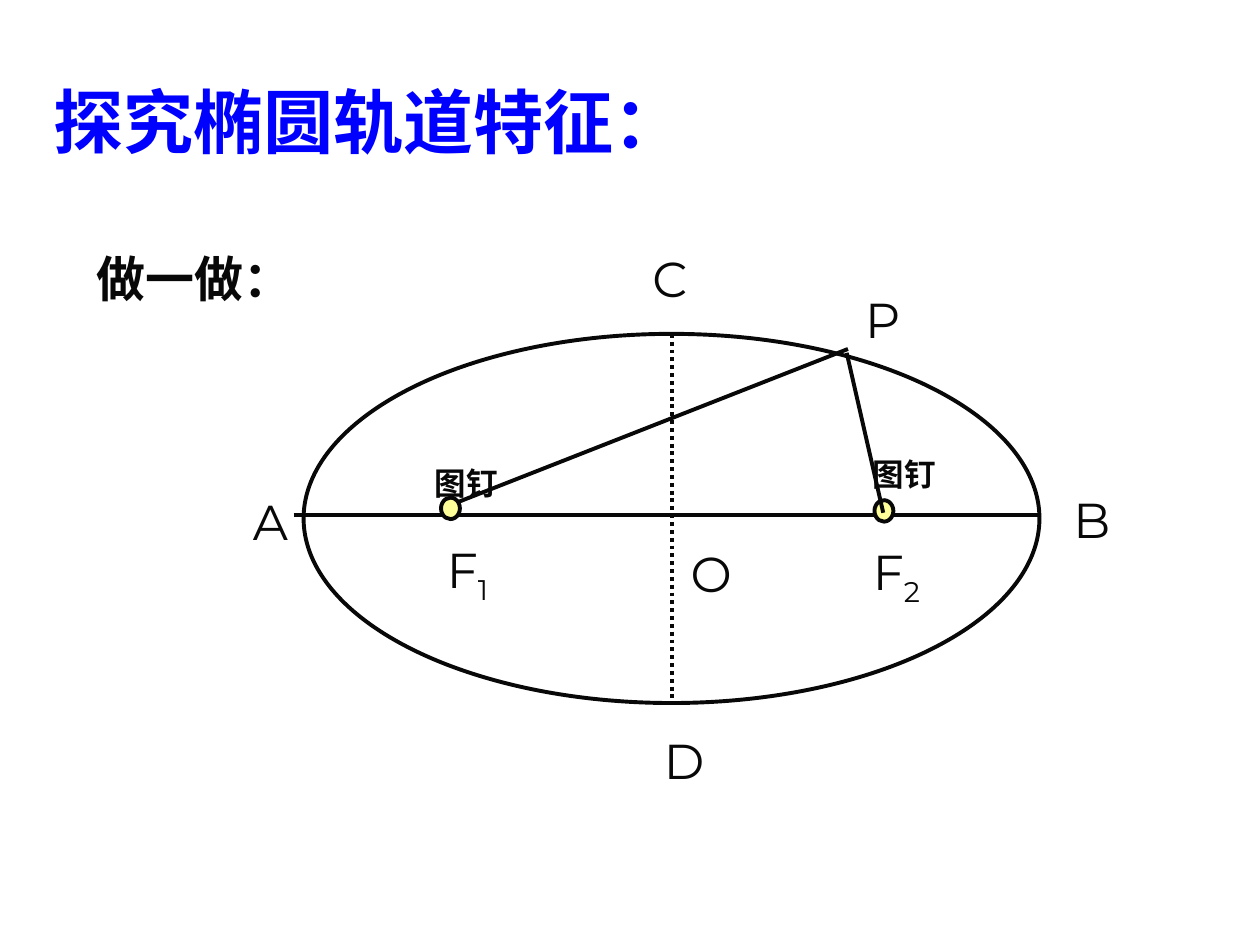
from pptx import Presentation
from pptx.dml.color import RGBColor
from pptx.enum.dml import MSO_LINE
from pptx.enum.shapes import MSO_CONNECTOR, MSO_SHAPE
from pptx.enum.text import MSO_ANCHOR, PP_ALIGN
from pptx.oxml.ns import qn
from pptx.util import Inches, Pt
from lxml.etree import SubElement

COLORS = {"title": "0000FF", "ink": "080808", "paper": "FFFFFF", "pin": "FFFF99"}
LINE_WIDTH = 2.25
LABEL_HEIGHT = 0.57

# Geometry in inches
ORBIT = (2.41, 2.65, 5.84, 2.93)
PIN_SIZE = (0.15, 0.17)
LEFT_PIN, RIGHT_PIN = (3.5, 3.95), (6.94, 3.97)
MAJOR_AXIS = ((2.33, 4.09), (8.25, 4.09))
STRINGS = [((3.52, 4.03), (6.73, 2.77)), ((6.72, 2.8), (7.01, 4.07))]

# Headings: text, box, size, colour, font
HEADINGS = [
    ("探究椭圆轨道特征：", (0.33, 0.33, 9, 1.25), 40, "title", "Arial"),
    ("做一做：", (0.67, 1.92, 4.25, LABEL_HEIGHT), 28, "ink", "Arial"),
    ("图钉", (3.35, 3.63, 1.02, 0.4), 18, "ink", "Times New Roman"),
    ("图钉", (6.83, 3.56, 1.02, 0.4), 18, "ink", "Times New Roman"),
]

# Point labels: letter, subscript, left, top, width, alignment
LABELS = [
    ("F", "1", 3.31, 4.26, 0.8, PP_ALIGN.CENTER),
    ("F", "2", 6.67, 4.28, 0.89, PP_ALIGN.CENTER),
    ("P", "", 6.75, 2.25, 0.51, PP_ALIGN.CENTER),
    ("O", "", 5.38, 4.26, 0.53, PP_ALIGN.CENTER),
    ("A", "", 1.91, 3.85, 0.5, PP_ALIGN.LEFT),
    ("B", "", 8.42, 3.83, 0.5, PP_ALIGN.LEFT),
    ("C", "", 5.08, 1.92, 0.5, PP_ALIGN.LEFT),
    ("D", "", 5.17, 5.75, 0.5, PP_ALIGN.LEFT),
]


def color(name):
    return RGBColor.from_string(COLORS[name])


def style_line(line):
    line.color.rgb = color("ink")
    line.width = Pt(LINE_WIDTH)


def add_oval(page, place, fill):
    oval = page.shapes.add_shape(MSO_SHAPE.OVAL, *map(Inches, place))
    oval.shadow.inherit = False
    oval.fill.solid()
    oval.fill.fore_color.rgb = color(fill)
    style_line(oval.line)
    return oval


def add_line(page, start, end):
    line = page.shapes.add_connector(
        MSO_CONNECTOR.STRAIGHT, *map(Inches, start + end))
    style_line(line.line)
    SubElement(line._element.spPr, qn("a:effectLst"))
    return line


def add_text(page, parts, place, size, ink, font, bold=False,
             align=PP_ALIGN.LEFT, wrap=True):
    box = page.shapes.add_textbox(*map(Inches, place))
    frame = box.text_frame
    frame.word_wrap = wrap
    frame.vertical_anchor = MSO_ANCHOR.MIDDLE
    para = frame.paragraphs[0]
    para.alignment = align
    for part in parts:
        span = para.add_run()
        span.text = part
        span.font.name = font
        span.font.size = Pt(size)
        span.font.bold = bold
        span.font.color.rgb = color(ink)
    return para


deck = Presentation()
deck.slide_width, deck.slide_height = Inches(10), Inches(7.5)
page = deck.slides.add_slide(deck.slide_layouts[6])

# Orbit, axes, pins and strings, from back to front
orbit = add_oval(page, ORBIT, "paper")
add_line(page, *MAJOR_AXIS)
add_oval(page, RIGHT_PIN + PIN_SIZE, "pin")
for start, end in STRINGS:
    add_line(page, start, end)
add_oval(page, LEFT_PIN + PIN_SIZE, "pin")

left, top, width, height = ORBIT
middle = left + width / 2
minor_axis = add_line(page, (middle, top), (middle, top + height))
minor_axis.line.dash_style = MSO_LINE.ROUND_DOT

# Headings and pin captions
for text, place, size, ink, font in HEADINGS:
    add_text(page, [text], place, size, ink, font, bold=True)

# Point labels
for letter, subscript, x, y, label_width, align in LABELS:
    parts = [letter, subscript] if subscript else [letter]
    para = add_text(page, parts, (x, y, label_width, LABEL_HEIGHT), 28, "ink",
                    "Montserrat", align=align, wrap=align == PP_ALIGN.CENTER)
    for span in para.runs[1:]:
        span._r.get_or_add_rPr().set("baseline", "-25000")

deck.save("out.pptx")
